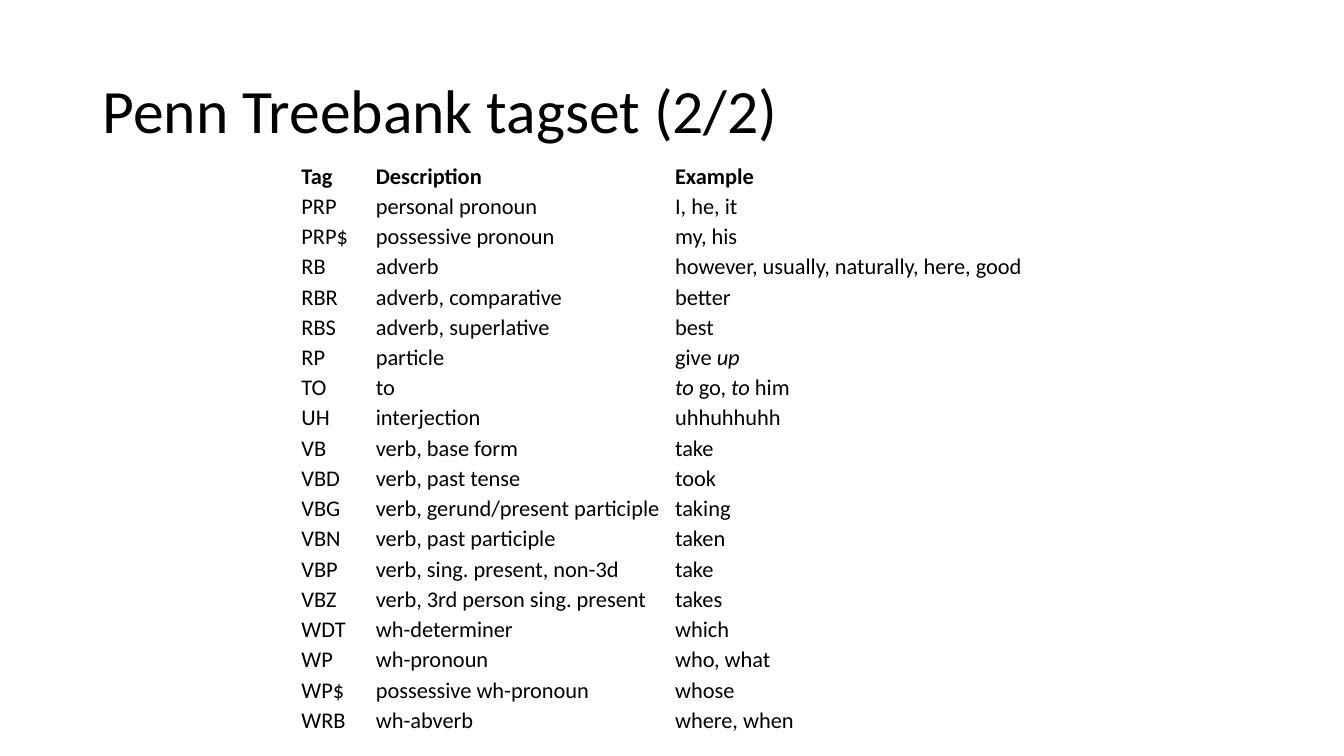
from pptx import Presentation
from pptx.dml.color import RGBColor
from pptx.enum.text import MSO_ANCHOR
from pptx.util import Inches, Pt

MIDDLE = MSO_ANCHOR.MIDDLE
BLACK = RGBColor(0x00, 0x00, 0x00)
FONT = "Calibri"
SLIDE_WIDTH, SLIDE_HEIGHT = Inches(13.33), Inches(7.5)
TITLE_BOX = (Inches(0.92), Inches(0.4), Inches(11.5), Inches(1.45))
TAGSET_BOX = (Inches(2.95), Inches(1.6), Inches(7.77), Inches(5.7))
COLUMN_SHARES = (0.095, 0.382, 0.523)
ITALIC_MARK = "*"

TAGSET = [
    ("Tag", "Description", "Example"),
    ("PRP", "personal pronoun", "I, he, it"),
    ("PRP$", "possessive pronoun", "my, his"),
    ("RB", "adverb", "however, usually, naturally, here, good"),
    ("RBR", "adverb, comparative", "better"),
    ("RBS", "adverb, superlative", "best"),
    ("RP", "particle", "give *up*"),
    ("TO", "to", "*to* go, *to* him"),
    ("UH", "interjection", "uhhuhhuhh"),
    ("VB", "verb, base form", "take"),
    ("VBD", "verb, past tense", "took"),
    ("VBG", "verb, gerund/present participle", "taking"),
    ("VBN", "verb, past participle", "taken"),
    ("VBP", "verb, sing. present, non-3d", "take"),
    ("VBZ", "verb, 3rd person sing. present", "takes"),
    ("WDT", "wh-determiner", "which"),
    ("WP", "wh-pronoun", "who, what"),
    ("WP$", "possessive wh-pronoun", "whose"),
    ("WRB", "wh-abverb", "where, when"),
]


def style_run(run, size, bold=False, italic=False):
    run.font.name = FONT
    run.font.size = Pt(size)
    run.font.bold = bold
    run.font.italic = italic
    run.font.color.rgb = BLACK


def add_title(slide, box, wording):
    frame = slide.shapes.add_textbox(*box).text_frame
    frame.word_wrap = True
    frame.vertical_anchor = MIDDLE
    heading = frame.paragraphs[0]
    heading.text = wording
    heading.line_spacing = 0.9
    style_run(heading.runs[0], 44)


def fill_cell(cell, wording, bold):
    cell.fill.background()
    cell.vertical_anchor = MIDDLE
    cell.margin_left = cell.margin_right = Inches(0.04)
    cell.margin_top = cell.margin_bottom = Inches(0.01)
    paragraph = cell.text_frame.paragraphs[0]
    for position, part in enumerate(wording.split(ITALIC_MARK)):
        if part:
            run = paragraph.add_run()
            run.text = part
            style_run(run, 16, bold, italic=position % 2 == 1)


def add_tagset(slide, box, entries):
    left, top, width, height = box
    tagset = slide.shapes.add_table(
        len(entries), len(COLUMN_SHARES), left, top, width, height).table
    tagset.first_row = False
    tagset.horz_banding = False
    for column, share in zip(tagset.columns, COLUMN_SHARES):
        column.width = int(width * share)
    for row_index, (row, entry) in enumerate(zip(tagset.rows, entries)):
        row.height = height // len(entries)
        for cell, wording in zip(row.cells, entry):
            fill_cell(cell, wording, bold=row_index == 0)


def main():
    presentation = Presentation()
    presentation.slide_width = SLIDE_WIDTH
    presentation.slide_height = SLIDE_HEIGHT
    slide = presentation.slides.add_slide(presentation.slide_layouts[6])
    add_tagset(slide, TAGSET_BOX, TAGSET)
    add_title(slide, TITLE_BOX, "Penn Treebank tagset (2/2)")
    presentation.save("out.pptx")


if __name__ == "__main__":
    main()
